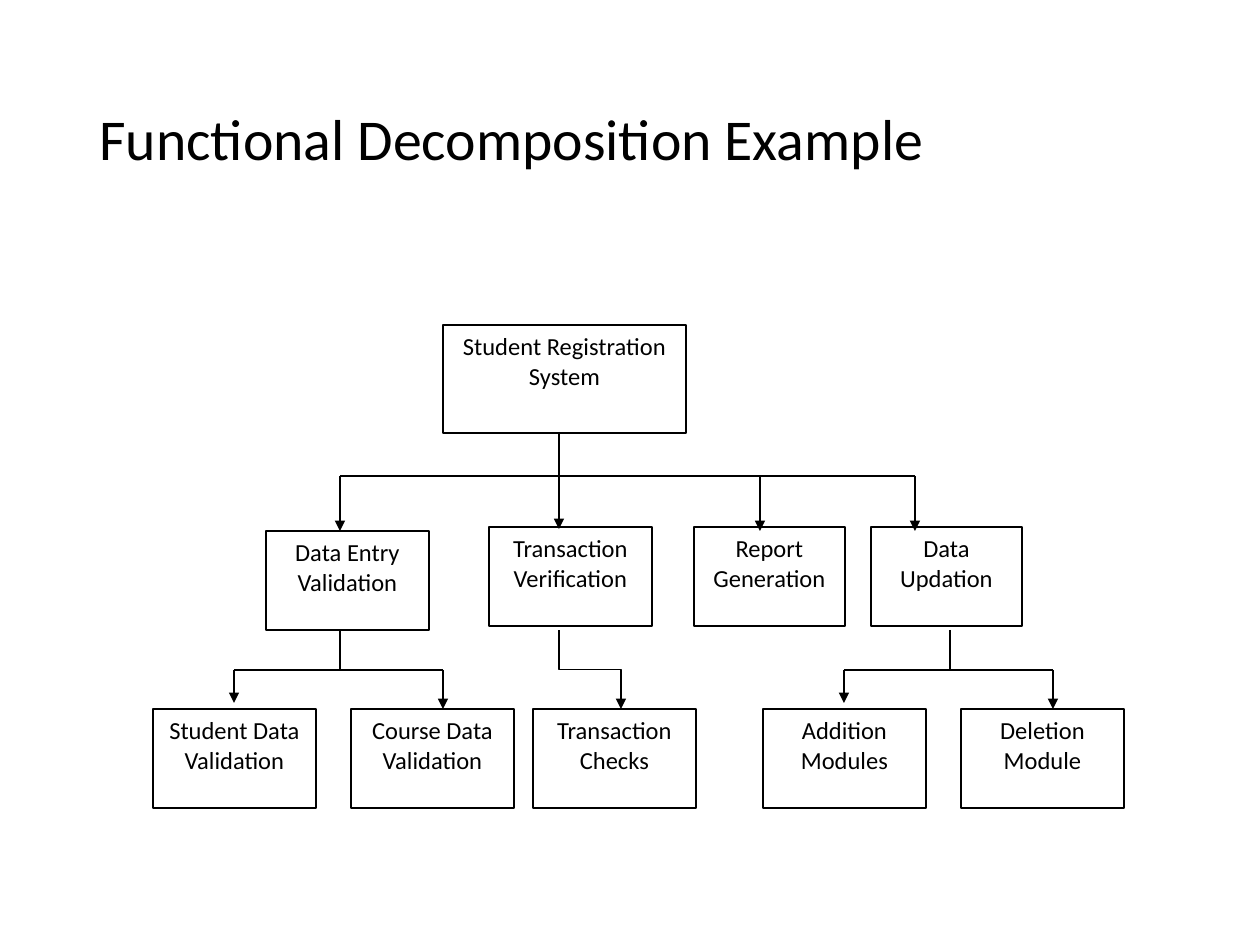
import pptx
import pptx.dml.color
import pptx.enum.shapes
import pptx.enum.text
import pptx.oxml
import pptx.oxml.ns
import pptx.util

PX = 914400 // 126
FONT = "Calibri"
BLACK, WHITE = "000000", "FFFFFF"
SHAPE = pptx.enum.shapes.MSO_SHAPE
CONNECTOR = pptx.enum.shapes.MSO_CONNECTOR
ALIGN = pptx.enum.text.PP_ALIGN
ANCHOR = pptx.enum.text.MSO_ANCHOR


def px(*lengths):
    return [pptx.util.Emu(round(n * PX)) for n in lengths]


def rgb(color):
    return pptx.dml.color.RGBColor.from_string(color)


def set_text(tf, text, size=14, color=BLACK, align=ALIGN.CENTER,
             anchor=ANCHOR.TOP, spacing=None):
    tf.word_wrap = True
    tf.vertical_anchor = anchor
    p = tf.paragraphs[0]
    p.alignment = align
    p.line_spacing = spacing
    r = p.add_run()
    r.text = text
    r.font.name = FONT
    r.font.size = pptx.util.Pt(size)
    r.font.color.rgb = rgb(color)


class Chart:
    def __init__(self, slide, line_width=0.75):
        self.slide = slide
        self.line_width = pptx.util.Pt(line_width)

    def stroke(self, line):
        line.width = self.line_width
        line.color.rgb = rgb(BLACK)

    def title(self, text, x, y, w, h):
        s = self.slide.shapes.add_textbox(*px(x, y, w, h))
        set_text(s.text_frame, text, size=33, align=ALIGN.LEFT,
                 anchor=ANCHOR.MIDDLE, spacing=0.9)

    def box(self, text, x, y, w=163, h=99):
        s = self.slide.shapes.add_shape(SHAPE.RECTANGLE, *px(x, y, w, h))
        s.shadow.inherit = False
        s.fill.solid()
        s.fill.fore_color.rgb = rgb(WHITE)
        self.stroke(s.line)
        set_text(s.text_frame, text)

    def line(self, x1, y1, x2, y2, arrow=False, kind=CONNECTOR.STRAIGHT):
        s = self.slide.shapes.add_connector(kind, *px(x1, y1, x2, y2))
        self.stroke(s.line)
        if arrow:
            tail = pptx.oxml.parse_xml(
                f'<a:tailEnd {pptx.oxml.ns.nsdecls("a")} type="triangle"/>')
            s.line._get_or_add_ln().append(tail)
        s._element.spPr.append(pptx.oxml.parse_xml(
            f'<a:effectLst {pptx.oxml.ns.nsdecls("a")}/>'))
        return s

    def elbow(self, x1, y1, x2, y2):
        """Arrow that runs down, across and down: a flipped elbow turned by 270°."""
        cx, cy = (x1 + x2) / 2, (y1 + y2) / 2
        dx, dy = (y2 - y1) / 2, (x2 - x1) / 2
        s = self.line(cx + dx, cy - dy, cx - dx, cy + dy,
                      arrow=True, kind=CONNECTOR.ELBOW)
        s._element.spPr.xfrm.set("rot", str(270 * 60000))

    def branch(self, stem_x, top, bar_y, tips):
        """Stem from a parent, a horizontal bar, and an arrow to each (x, y) tip."""
        self.line(stem_x, top, stem_x, bar_y)
        self.line(tips[0][0], bar_y, tips[-1][0], bar_y)
        for x, y in tips:
            self.line(x, bar_y, x, y, arrow=True)


def main():
    prs = pptx.Presentation()
    prs.slide_width, prs.slide_height = px(1260, 945)
    chart = Chart(prs.slides.add_slide(prs.slide_layouts[6]))

    chart.title("Functional Decomposition Example", 87, 50, 1086, 183)
    chart.box("Student Registration System", 443, 325, 243, 108)
    chart.box("Data Entry Validation", 266, 531)
    chart.box("Transaction Verification", 489, 527)
    chart.box("Report Generation", 694, 527, w=151)
    chart.box("Data Updation", 871, 527, w=151)

    leaves = [("Student Data Validation", 153), ("Course Data Validation", 351),
              ("Transaction Checks", 533), ("Addition Modules", 763),
              ("Deletion Module", 961)]
    for text, x in leaves:
        chart.box(text, x, 709)

    chart.branch(559, 432, 476, [(340, 531), (559, 529), (760, 531), (915, 531)])
    chart.branch(340, 630, 670, [(234, 703), (443, 709)])
    chart.branch(950, 630, 670, [(844, 703), (1053, 709)])
    chart.elbow(559, 630, 621, 709)

    prs.save("out.pptx")


if __name__ == "__main__":
    main()
